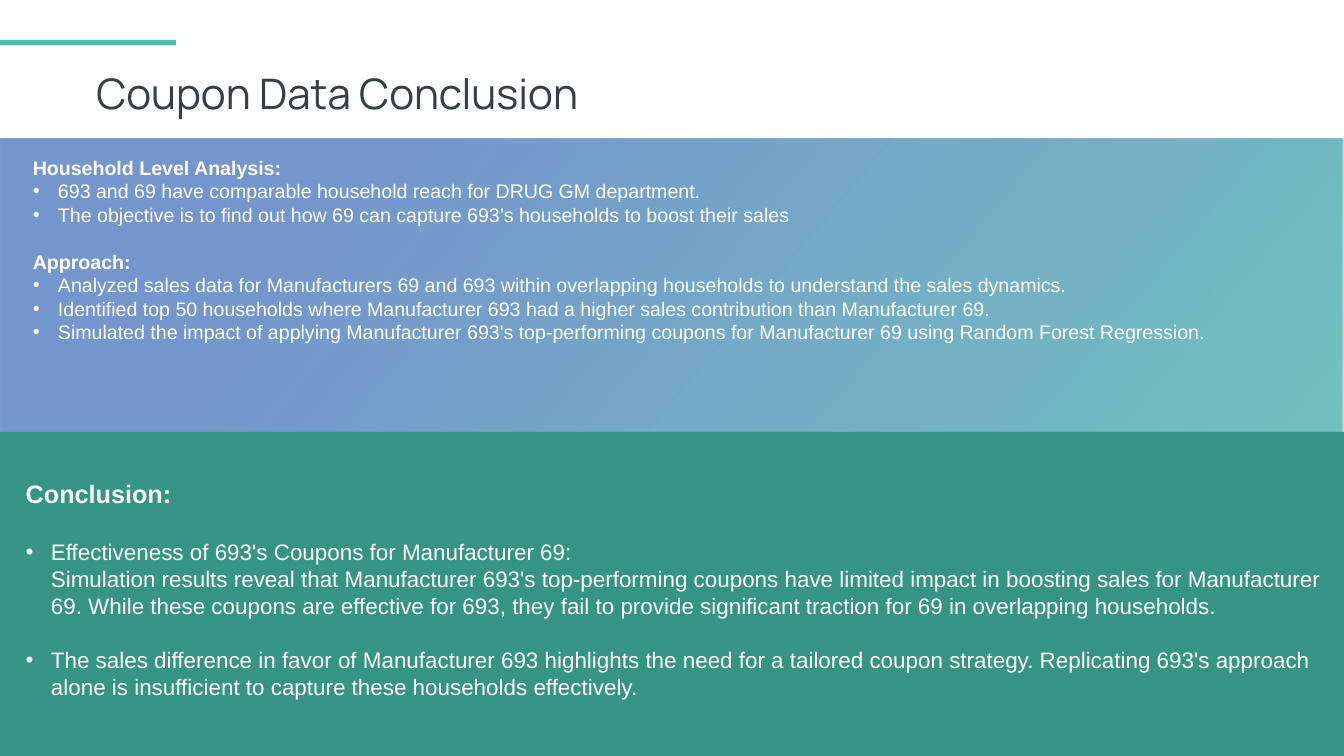
from dataclasses import dataclass

from lxml.etree import SubElement
from pptx import Presentation
from pptx.dml.color import RGBColor
from pptx.enum.shapes import MSO_SHAPE
from pptx.enum.text import MSO_ANCHOR, MSO_AUTO_SIZE, PP_ALIGN
from pptx.oxml.ns import qn
from pptx.util import Inches, Pt


@dataclass(frozen=True)
class Theme:
    ink: str = "363E48"
    white: str = "FFFFFF"
    mint: str = "4FBFAC"
    blue: str = "557DC2"
    green: str = "369484"
    head_font: str = "Manrope"
    body_font: str = "Arial"
    title: int = 60
    head: int = 36
    body: int = 32
    small: int = 28
    line: float = 1.19


THEME = Theme()
WIDE, HIGH = 26.66, 15
SPLIT = 8.57
INDENT = 0.5

# Each section is a heading and its bullet points.
ANALYSIS = [
    ("Household Level Analysis:", [
        "693 and 69 have comparable household reach for DRUG GM department.",
        "The objective is to find out how 69 can capture 693’s households to boost their sales",
    ]),
    ("Approach:", [
        "Analyzed sales data for Manufacturers 69 and 693 within overlapping households "
        "to understand the sales dynamics.",
        "Identified top 50 households where Manufacturer 693 had a higher sales "
        "contribution than Manufacturer 69.",
        "Simulated the impact of applying Manufacturer 693's top-performing coupons "
        "for Manufacturer 69 using Random Forest Regression.",
    ]),
]
RESULT = [
    ("Conclusion:", [
        "Effectiveness of 693's Coupons for Manufacturer 69:\n"
        "Simulation results reveal that Manufacturer 693's top-performing coupons have "
        "limited impact in boosting sales for Manufacturer 69. While these coupons are "
        "effective for 693, they fail to provide significant traction for 69 in "
        "overlapping households.",
        "The sales difference in favor of Manufacturer 693 highlights the need for a "
        "tailored coupon strategy. Replicating 693's approach alone is insufficient to "
        "capture these households effectively.",
    ]),
]


def add_band(slide, left, top, width, height, color=None):
    band = slide.shapes.add_shape(
        MSO_SHAPE.RECTANGLE, Inches(left), Inches(top), Inches(width), Inches(height))
    band.shadow.inherit = False
    band.line.fill.background()
    if color:
        band.fill.solid()
        band.fill.fore_color.rgb = RGBColor.from_string(color)
    return band


def blend(band):
    """Fill with a see-through slant from blue at top left to mint."""
    band.fill.gradient()
    band.fill.gradient_angle = 140
    stops = zip(band.fill.gradient_stops, ((0, THEME.mint), (0.79, THEME.blue)))
    for stop, (place, color) in stops:
        stop.position = place
        stop.color.rgb = RGBColor.from_string(color)
    for node in band.fill._xPr.iter(qn("a:srgbClr")):
        SubElement(node, qn("a:alpha"), val="80000")


def place(holder, left, top, width, height, inset=(0.1, 0.05, 0.1, 0.05)):
    """Move a placeholder above the bands and ready its text frame."""
    holder.left, holder.top = Inches(left), Inches(top)
    holder.width, holder.height = Inches(width), Inches(height)
    tree = holder._element.getparent()
    tree.append(holder._element)
    frame = holder.text_frame
    frame.word_wrap = True
    frame.auto_size = MSO_AUTO_SIZE.NONE
    frame.vertical_anchor = MSO_ANCHOR.TOP
    (frame.margin_left, frame.margin_top,
     frame.margin_right, frame.margin_bottom) = map(Inches, inset)
    return frame


def add_run(para, text, size, color, font, bold=False):
    run = para.add_run()
    run.text = text
    run.font.size = Pt(size)
    run.font.name = font
    run.font.bold = bold
    run.font.color.rgb = RGBColor.from_string(color)


def set_bullet(para, shown):
    props = para._p.get_or_add_pPr()
    depth = Inches(INDENT) if shown else 0
    props.set("marL", str(depth))
    props.set("indent", str(-depth))
    if shown:
        SubElement(props, qn("a:buFont"), typeface="Arial")
        SubElement(props, qn("a:buChar"), char="•")
    else:
        SubElement(props, qn("a:buNone"))


def add_para(frame, text, size, gap, bullet):
    """Write one paragraph; gap is the type size of the space above."""
    first = frame.paragraphs[0]
    para = frame.add_paragraph() if first.runs else first
    para.alignment = PP_ALIGN.LEFT
    para.space_before = Pt(round(gap * THEME.line, 1))
    set_bullet(para, bullet)
    for count, line in enumerate(text.split("\n")):
        if count:
            para.add_line_break()
        add_run(para, line, size, THEME.white, THEME.body_font, bold=not bullet)


def add_list(frame, parts, head, body, loose=False):
    """Write the sections; a loose list also has space above each point."""
    for part, (name, points) in enumerate(parts):
        add_para(frame, name, head, body if part else 0, bullet=False)
        for count, point in enumerate(points):
            gap = (body if count else head) if loose else 0
            add_para(frame, point, body, gap, bullet=True)


def add_title(holder, text):
    para = place(holder, 1.81, 1.28, 10.8, 1.11).paragraphs[0]
    para.alignment = PP_ALIGN.LEFT
    add_run(para, text, THEME.title, THEME.ink, THEME.head_font)


def main():
    deck = Presentation()
    deck.slide_width, deck.slide_height = Inches(WIDE), Inches(HIGH)
    slide = deck.slides.add_slide(deck.slide_layouts.get_by_name("Two Content"))
    title, upper, lower = list(slide.placeholders)[:3]

    blend(add_band(slide, 0, 2.76, WIDE, HIGH - 2.76))
    add_band(slide, 0, 0.79, 3.49, 0.11, THEME.mint)
    add_band(slide, 0, SPLIT, WIDE, HIGH - SPLIT, THEME.green)

    add_title(title, "Coupon Data Conclusion")
    frame = place(upper, 0.41, 2.97, 25.92, 4.95, (0.24, 0.12, 0.24, 0.12))
    add_list(frame, ANALYSIS, THEME.small, THEME.small)
    frame = place(lower, 0.41, 8.91, 25.92, 5.08, (0.1, 0.58, 0.1, 0.05))
    add_list(frame, RESULT, THEME.head, THEME.body, loose=True)

    deck.save("out.pptx")


if __name__ == "__main__":
    main()
